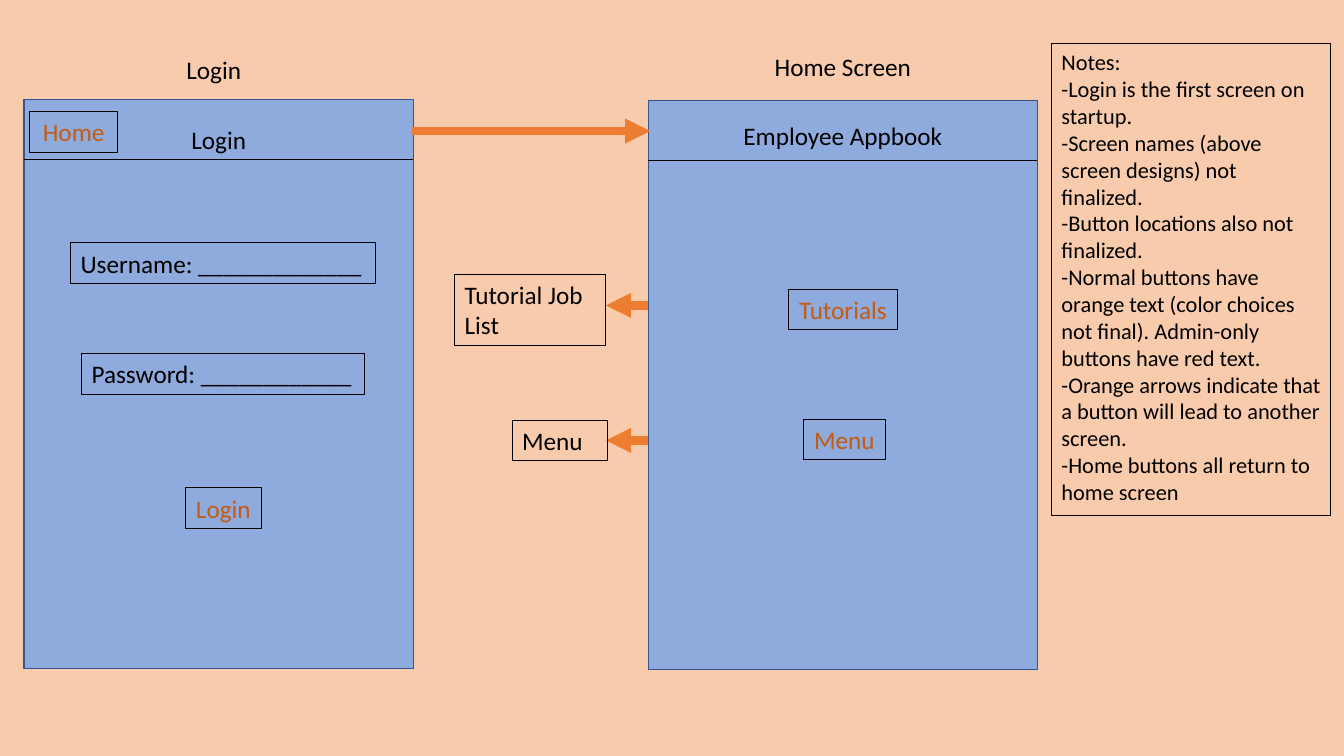
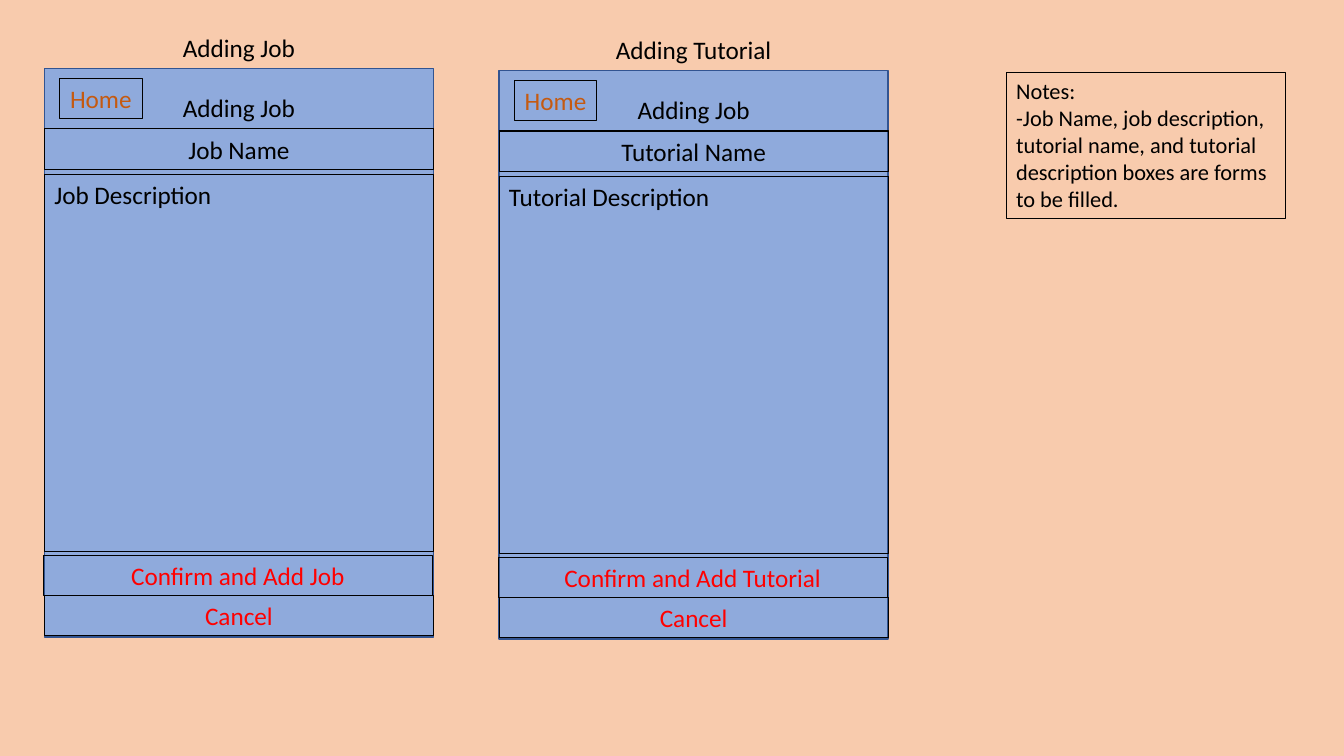
from lxml import etree
from pptx import Presentation
from pptx.dml.color import RGBColor
from pptx.enum.shapes import MSO_CONNECTOR, MSO_SHAPE
from pptx.enum.text import MSO_ANCHOR, PP_ALIGN
from pptx.oxml.ns import qn
from pptx.util import Inches, Pt

RECT = MSO_SHAPE.RECTANGLE
LINE = MSO_CONNECTOR.STRAIGHT
LEFT, MID = PP_ALIGN.LEFT, PP_ALIGN.CENTER
TOP = MSO_ANCHOR.TOP
FONT = "Calibri"
WIDE, HIGH, ROW, HEAD = 3.86, 5.64, 0.4, 0.59
COLORS = {
    "back": "F8CBAD",
    "panel": "8FAADC",
    "edge": "325491",
    "ink": "000000",
    "button": "C55A11",
    "admin": "FF0000",
    "arrow": "ED7D31",
}
START_NOTES = [
    "Notes:",
    "-Login is the first screen on startup.",
    "-Screen names (above screen designs) not finalized.",
    "-Button locations also not finalized.",
    "-Normal buttons have orange text (color choices not final). "
    "Admin-only buttons have red text.",
    "-Orange arrows indicate that a button will lead to another screen.",
    "-Home buttons all return to home screen",
]
FORM_NOTES = [
    "Notes:",
    "-Job Name, job description, tutorial name, and tutorial "
    "description boxes are forms to be filled.",
]


def color(name):
    """Return the named colour."""
    return RGBColor.from_string(COLORS[name])


def text(slide, words, x, y, w, h=ROW, size=18, ink="ink", align=LEFT,
         wrap=True, frame=False):
    """Add text, one paragraph per item of a list, with an optional frame."""
    box = slide.shapes.add_textbox(Inches(x), Inches(y), Inches(w), Inches(h))
    if frame:
        box.line.color.rgb = color("ink")
        box.line.width = Pt(0.75)
    body = box.text_frame
    body.word_wrap = wrap
    body.vertical_anchor = TOP
    body.text = words if isinstance(words, str) else "\n".join(words)
    for para in body.paragraphs:
        para.alignment = align
        para.font.name = FONT
        para.font.size = Pt(size)
        para.font.color.rgb = color(ink)


def button(slide, words, x, y, w):
    """Add a framed button that fits its label."""
    text(slide, words, x, y, w, ink="button", align=MID, wrap=False, frame=True)


def notes(slide, words, x, y, h):
    """Add the framed notes."""
    text(slide, words, x, y, 2.77, h, size=16, frame=True)


def line(slide, x, y, end, ink="ink", width=0.5, arrow=False):
    """Add a level line, with an arrowhead at its end if asked."""
    link = slide.shapes.add_connector(
        LINE, Inches(x), Inches(y), Inches(end), Inches(y))
    link.line.color.rgb = color(ink)
    link.line.width = Pt(width)
    if arrow:
        stroke = link.line._get_or_add_ln()
        etree.SubElement(stroke, qn("a:tailEnd"), type="triangle")
    etree.SubElement(link._element.spPr, qn("a:effectLst"))


def arrow(slide, x, y, end):
    """Add an arrow from one screen to another."""
    line(slide, x, y, end, ink="arrow", width=6, arrow=True)


def screen(slide, x, y, title, head, rise=0.41, drop=0.19, shift=0):
    """Add a screen with its title above and its heading inside."""
    panel = slide.shapes.add_shape(
        RECT, Inches(x), Inches(y), Inches(WIDE), Inches(HIGH))
    panel.shadow.inherit = False
    panel.fill.solid()
    panel.fill.fore_color.rgb = color("panel")
    panel.line.color.rgb = color("edge")
    panel.line.width = Pt(1)
    text(slide, title, x + shift, y - rise, WIDE, align=MID)
    text(slide, head, x, y + drop, WIDE, align=MID)
    line(slide, x, y + HEAD, x + WIDE)


def form(slide, x, y, noun):
    """Add a screen with a form for a new item."""
    screen(slide, x, y, f"Adding {noun}", "Adding Job")
    button(slide, "Home", x + 0.15, y + 0.1, 0.82)
    text(slide, f"{noun} Description", x, y + 1.05, WIDE, 3.74, frame=True)
    rows = [
        (f"{noun} Name", 0, 0.6, "ink"),
        (f"Confirm and Add {noun}", -0.01, 4.83, "admin"),
        ("Cancel", 0, 5.23, "admin"),
    ]
    for words, shift, drop, ink in rows:
        text(slide, words, x + shift, y + drop, WIDE, ink=ink, align=MID,
             frame=True)


def page(deck):
    """Add a blank slide with the shared background."""
    slide = deck.slides.add_slide(deck.slide_layouts[6])
    fill = slide.background.fill
    fill.solid()
    fill.fore_color.rgb = color("back")
    return slide


def start(deck):
    """Build the slide of the login and home screens."""
    slide = page(deck)
    screen(slide, 6.43, 1, "Home Screen", "Employee Appbook",
           rise=0.54, drop=0.14)
    button(slide, "Tutorials", 7.82, 2.87, 1.08)
    button(slide, "Menu", 7.97, 4.16, 0.81)
    arrow(slide, 6.43, 3.03, 6.01)
    text(slide, "Tutorial Job List", 4.51, 2.72, 1.5, 0.71, frame=True)
    arrow(slide, 6.43, 4.37, 6.01)
    text(slide, "Menu", 5.08, 4.17, 0.95, frame=True)
    notes(slide, START_NOTES, 10.43, 0.43, 4.68)
    screen(slide, 0.24, 0.99, "Login", "Login", rise=0.5, shift=-0.05)
    arrow(slide, 4.09, 1.3, 6.45)
    button(slide, "Home", 0.29, 1.11, 0.88)
    text(slide, "Username: " + "_" * 13, 0.7, 2.41, 3.02, frame=True)
    text(slide, "Password: " + "_" * 12, 0.81, 3.51, 2.81, frame=True)
    button(slide, "Login", 1.84, 4.84, 0.75)


def adding(deck):
    """Build the slide of the two forms."""
    slide = page(deck)
    form(slide, 0.44, 0.68, "Job")
    form(slide, 4.95, 0.7, "Tutorial")
    notes(slide, FORM_NOTES, 9.98, 0.72, 1.45)


def main():
    """Build and save the deck."""
    deck = Presentation()
    deck.slide_width = Inches(13.33)
    deck.slide_height = Inches(7.5)
    start(deck)
    adding(deck)
    deck.save("out.pptx")


main()
